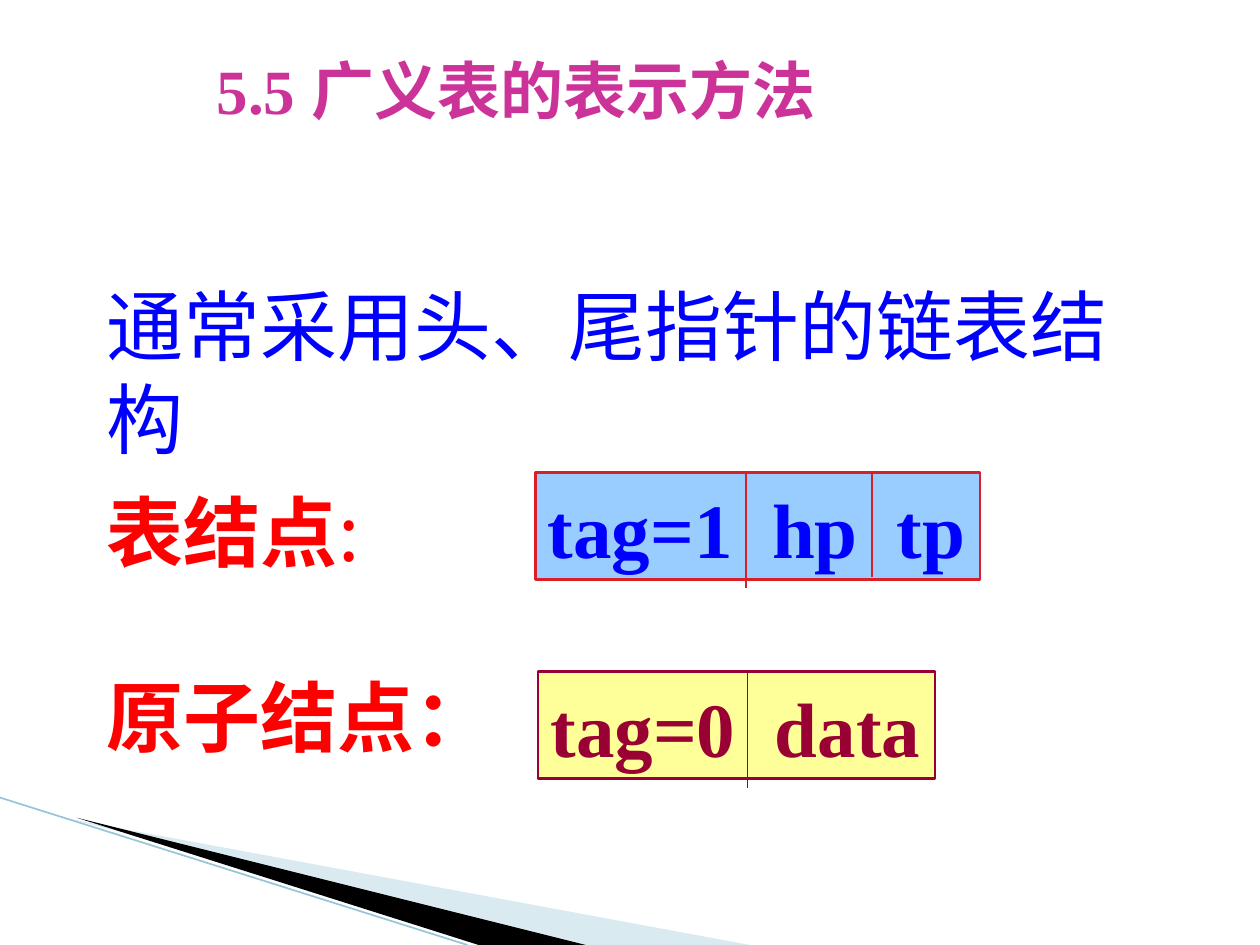
from lxml.etree import SubElement
from pptx import Presentation
from pptx.dml.color import RGBColor
from pptx.enum.shapes import MSO_CONNECTOR, MSO_SHAPE
from pptx.enum.text import MSO_ANCHOR, PP_ALIGN
from pptx.oxml.ns import qn
from pptx.util import Inches, Pt

COLORS = {
    "title": "CC3399", "blue": "0000FF", "red": "FF0000", "sky": "99CCFF",
    "crimson": "DA1F28", "yellow": "FFFF99", "maroon": "990033",
    "pale": "A0CBDC", "black": "000000", "teal": "97C5D8",
}
LATIN, CHINESE = "Times New Roman", "Noto Sans CJK SC"


def color(name):
    return RGBColor.from_string(COLORS[name])


def add_text(paragraph, text, size=44, name="blue", bold=False, font=CHINESE):
    run = paragraph.add_run()
    run.text = text
    run.font.size, run.font.bold, run.font.name = Pt(size), bold, font
    run.font.color.rgb = color(name)
    SubElement(run._r.get_or_add_rPr(), qn("a:ea")).set("typeface", CHINESE)


class SlideBuilder:
    """Draws styled elements on a slide divided into 100 columns and 75 rows."""

    def __init__(self, presentation):
        self.slide = presentation.slides.add_slide(presentation.slide_layouts[6])
        self.column = presentation.slide_width / 100
        self.row = presentation.slide_height / 75

    def place(self, left, top, width, height):
        return (round(left * self.column), round(top * self.row),
                round(width * self.column), round(height * self.row))

    def text_box(self, area, paragraphs, line_height, gap=0, wrap=False):
        frame = self.slide.shapes.add_textbox(*self.place(*area)).text_frame
        frame.word_wrap = wrap
        for index, runs in enumerate(paragraphs):
            paragraph = frame.add_paragraph() if index else frame.paragraphs[0]
            paragraph.line_spacing = Pt(line_height)
            if index:
                paragraph.space_before = Pt(gap)
            for text, style in runs:
                add_text(paragraph, text, **style)

    def node(self, area, fields, tabs, fill, line, text_color):
        shape = self.slide.shapes.add_shape(MSO_SHAPE.RECTANGLE, *self.place(*area))
        shape.shadow.inherit = False
        shape.fill.solid()
        shape.fill.fore_color.rgb = color(fill)
        shape.line.color.rgb, shape.line.width = color(line), Pt(1.5)
        frame = shape.text_frame
        frame.word_wrap, frame.vertical_anchor = False, MSO_ANCHOR.BOTTOM
        paragraph = frame.paragraphs[0]
        paragraph.alignment = PP_ALIGN.LEFT
        tab_list = SubElement(paragraph._p.get_or_add_pPr(), qn("a:tabLst"))
        for position in tabs[:len(fields) - 1]:
            tab = SubElement(tab_list, qn("a:tab"))
            tab.set("pos", str(round(position * self.column)))
            tab.set("algn", "l")
        add_text(paragraph, "\t".join(fields), name=text_color, bold=True, font=LATIN)

    def line(self, start, end, name, width=0.75):
        ends = self.place(*start, *end)
        connector = self.slide.shapes.add_connector(MSO_CONNECTOR.STRAIGHT, *ends)
        connector.line.color.rgb, connector.line.width = color(name), Pt(width)
        SubElement(connector._element.spPr, qn("a:effectLst"))

    def wedge(self, points, name, opacity=100):
        first, *others = [self.place(x, y, 0, 0)[:2] for x, y in points]
        builder = self.slide.shapes.build_freeform(*first)
        builder.add_line_segments(others, close=True)
        shape = builder.convert_to_shape()
        shape.shadow.inherit = False
        shape.fill.solid()
        shape.fill.fore_color.rgb = color(name)
        shape.line.fill.background()
        if opacity < 100:
            fill_color = shape._element.spPr.find(qn("a:solidFill"))[0]
            SubElement(fill_color, qn("a:alpha")).set("val", str(opacity * 1000))


def main():
    presentation = Presentation()
    presentation.slide_width, presentation.slide_height = Inches(10), Inches(7.5)
    builder = SlideBuilder(presentation)

    builder.wedge([(5.5, 65), (59.5, 75), (45.6, 75)], "pale", opacity=40)
    builder.wedge([(6.1, 64.9), (46.5, 75), (38, 75)], "black")
    builder.line((0, 63.3), (37.1, 75), "teal", width=0.95)

    heading = {"size": 36, "name": "title", "bold": True}
    builder.text_box((16.2, 3.6, 50.9, 7), [[
        ("5.5 ", {**heading, "font": LATIN}), ("广义表的表示方法", heading)]], 43)
    builder.text_box((7.5, 21.6, 86, 15.6),
                     [[("通常采用头、尾指针的链表结构", {"name": "blue"})]], 53, wrap=True)
    label = {"name": "red", "bold": True}
    builder.text_box((7.5, 37.9, 32.8, 23), [
        [("表结点", label), (":", {"name": "red"})],
        [("原子结点：", {**label, "font": LATIN})]], 53, gap=53)

    tabs = (17.8, 27.7)
    builder.node((42.5, 37.5, 35.3, 8.5), ("tag=1", "hp", "tp"), tabs,
                 "sky", "crimson", "blue")
    builder.node((42.7, 53.3, 31.5, 8.5), ("tag=0", "data"), tabs,
                 "yellow", "maroon", "maroon")
    for left, top, length, name in ((59.3, 53.3, 9.2, "maroon"),
                                    (59.2, 37.5, 9.2, "crimson"),
                                    (69.2, 37.5, 8.3, "crimson")):
        builder.line((left, top), (left, top + length), name)

    presentation.save("out.pptx")


if __name__ == "__main__":
    main()
